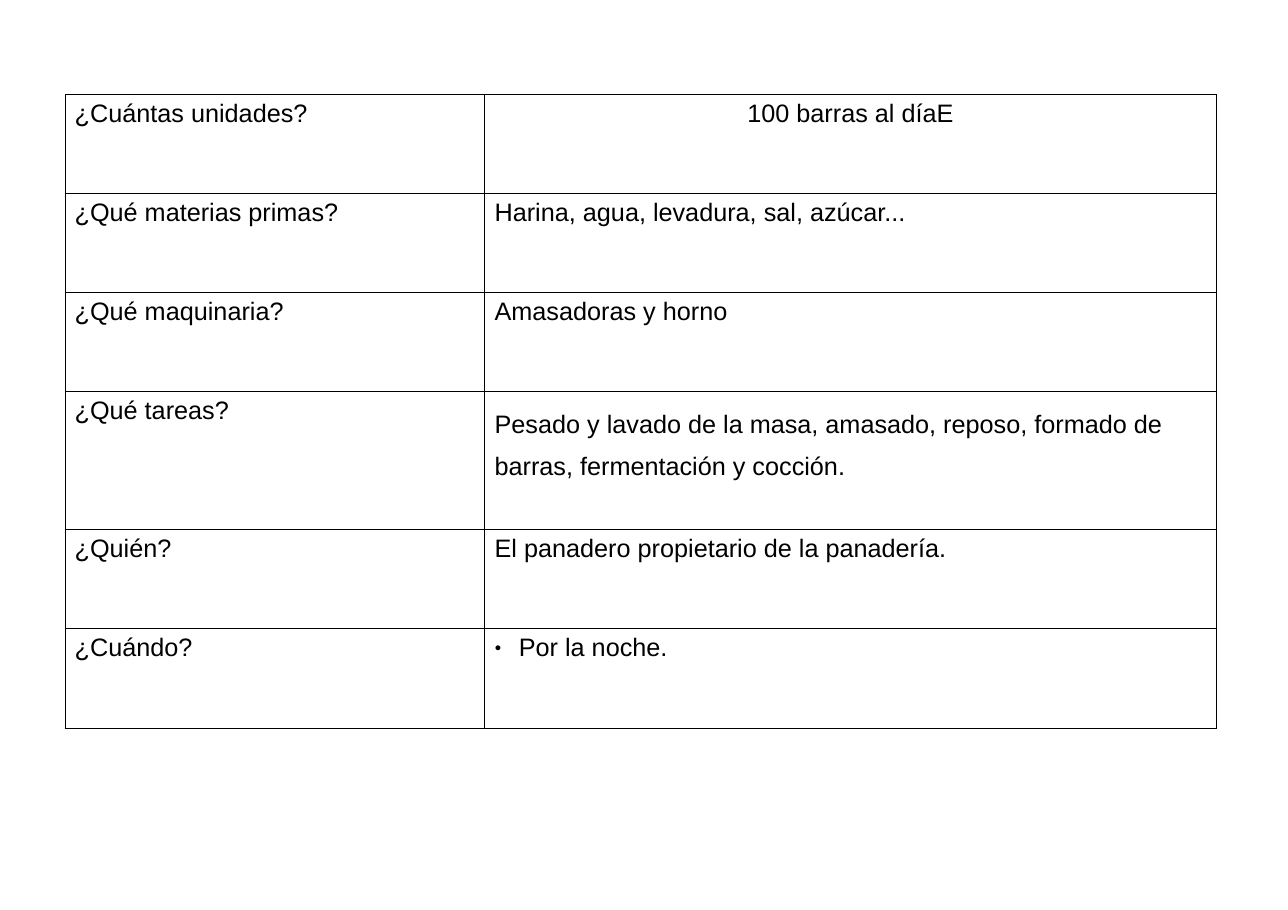
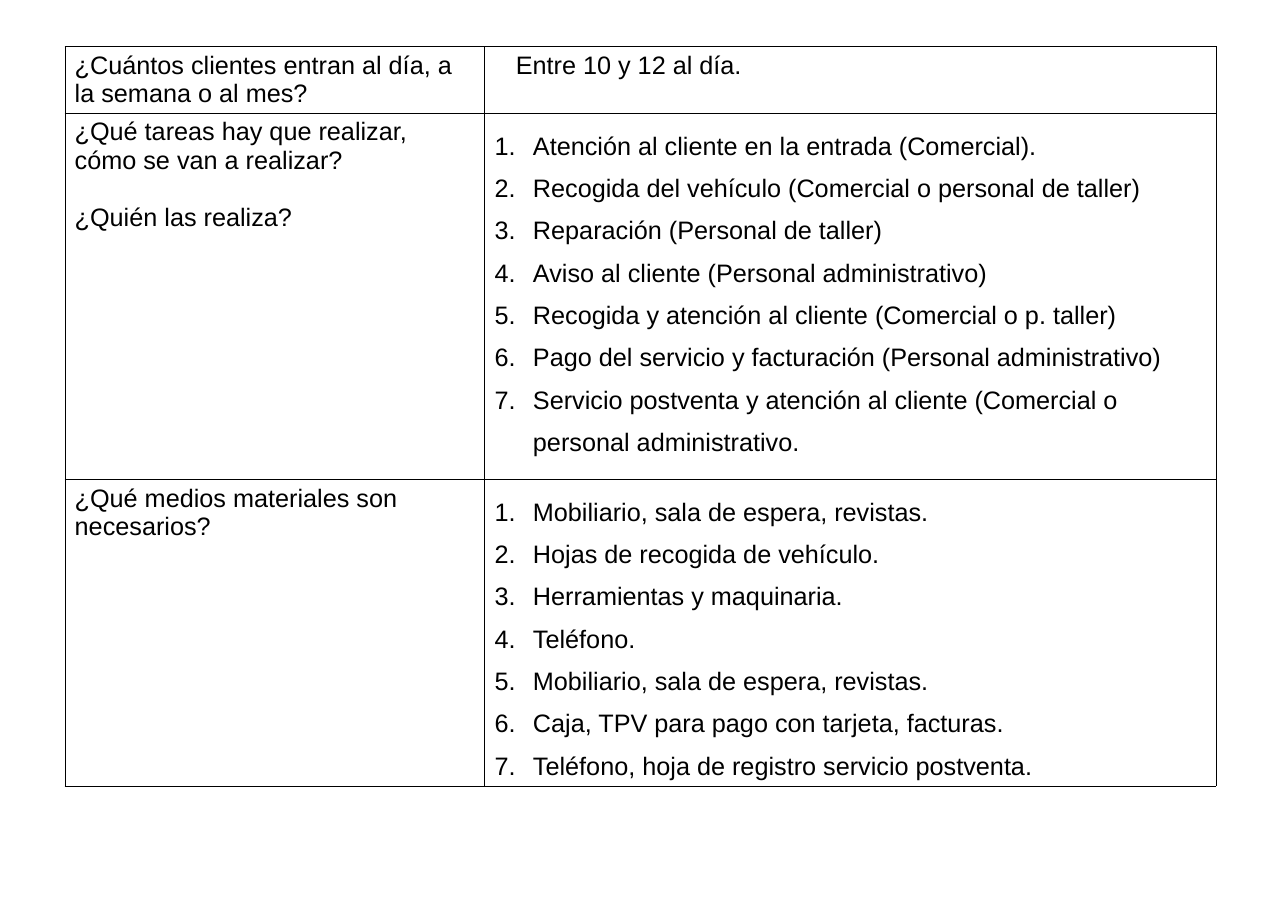
from pptx import Presentation
from pptx.dml.color import RGBColor
from pptx.enum.text import PP_ALIGN as Align
from pptx.oxml.xmlchemy import OxmlElement as Element
from pptx.util import Inches, Pt

BLACK = RGBColor(0, 0, 0)
WHITE = RGBColor(255, 255, 255)
HAIRLINE, THIN = Pt(0.06), Pt(0.85)


def add_child(parent, tag, **attrs):
    """Append an XML element with the given attributes."""
    child = Element(tag)
    for name, value in attrs.items():
        child.set(name, str(value))
    parent.append(child)
    return child


def write(p, text, align=None, spacing=None, before=None, left=0, hanging=0,
          bullet=None, number=None):
    """Fill one paragraph; left and hanging are in inches."""
    if align is not None:
        p.alignment = align
    if spacing:
        p.line_spacing = spacing
    if before:
        p.space_before = Pt(before)
    r = p.add_run()
    r.text = text
    r.font.name, r.font.size, r.font.bold = "Arial", Pt(18), False
    r.font.color.rgb = BLACK

    # Indents and bullets
    pPr = p._p.get_or_add_pPr()
    if left:
        pPr.set("marL", str(Inches(left)))
        pPr.set("indent", str(-Inches(hanging)))
    if bullet or number:
        color = add_child(pPr, "a:buClr")
        add_child(color, "a:srgbClr", val=BLACK)
    if bullet:
        add_child(pPr, "a:buSzPct", val=45000)
        add_child(pPr, "a:buFont", typeface="Arial")
        add_child(pPr, "a:buChar", char=bullet)
    elif number:
        add_child(pPr, "a:buFont", typeface="Arial")
        add_child(pPr, "a:buAutoNum", type=number)


def numbered(*items):
    """Describe a widely spaced numbered list."""
    return [(item, dict(left=0.38, hanging=0.38, spacing=1.5,
                        number="arabicPeriod")) for item in items]


class Deck:
    LEFT = 0.64
    COLUMNS = (4.16, 7.25)

    def __init__(self):
        self.prs = Presentation()
        self.prs.slide_width, self.prs.slide_height = Inches(12.76), Inches(9.02)
        self.s = None

    def slide(self):
        self.s = self.prs.slides.add_slide(self.prs.slide_layouts[6])

    def cell(self, cell, content, rule):
        """Content is a text or a list of (text, format) paragraphs."""
        paragraphs = [(content, {})] if isinstance(content, str) else content
        tf = cell.text_frame
        for i, (text, style) in enumerate(paragraphs):
            write(tf.add_paragraph() if i else tf.paragraphs[0], text, **style)

        # Borders go before the fill
        tcPr = cell._tc.get_or_add_tcPr()
        for side, width in zip("LRTB", (HAIRLINE, HAIRLINE, rule, rule)):
            line = add_child(tcPr, f"a:ln{side}", w=int(width))
            add_child(add_child(line, "a:solidFill"), "a:srgbClr", val=BLACK)
        cell.fill.solid()
        cell.fill.fore_color.rgb = WHITE

    def table(self, top, heights, rows, rule):
        table = self.s.shapes.add_table(
            len(rows), len(self.COLUMNS), Inches(self.LEFT), Inches(top),
            Inches(sum(self.COLUMNS)), Inches(sum(heights))).table
        table.first_row = table.horz_banding = False
        for column, width in zip(table.columns, self.COLUMNS):
            column.width = Inches(width)
        for row, height, contents in zip(table.rows, heights, rows):
            row.height = Inches(height)
            for cell, content in zip(row.cells, contents):
                self.cell(cell, content, rule)


def main():
    deck = Deck()

    # Production plan of the bakery
    deck.slide()
    deck.table(0.94, (0.98, 0.98, 0.98, 1.37, 0.98, 0.99), [
        ("¿Cuántas unidades?",
         [("100 barras al díaE", dict(align=Align.CENTER))]),
        ("¿Qué materias primas?", "Harina, agua, levadura, sal, azúcar..."),
        ("¿Qué maquinaria?", "Amasadoras y horno"),
        ("¿Qué tareas?",
         [("Pesado y lavado de la masa, amasado, reposo, formado de barras, "
           "fermentación y cocción.", dict(spacing=1.5))]),
        ("¿Quién?", "El panadero propietario de la panadería."),
        ("¿Cuándo?",
         [("Por la noche.", dict(left=0.24, hanging=0.24, bullet="●"))]),
    ], THIN)

    # Service plan of the repair shop
    deck.slide()
    deck.table(0.46, (0.66, 3.63, 3.04), [
        ("¿Cuántos clientes entran al día, a la semana o al mes?",
         [("Entre 10 y 12 al día.", dict(left=0.21))]),
        ([("¿Qué tareas hay que realizar, cómo se van a realizar?", {}),
          ("¿Quién las realiza?", dict(before=20.5))],
         numbered(
             "Atención al cliente en la entrada (Comercial).",
             "Recogida del vehículo (Comercial o personal de taller)",
             "Reparación (Personal de taller)",
             "Aviso al cliente (Personal administrativo)",
             "Recogida y atención al cliente (Comercial o p. taller)",
             "Pago del servicio y facturación (Personal administrativo)",
             "Servicio postventa y atención al cliente (Comercial o personal "
             "administrativo.")),
        ("¿Qué medios materiales son necesarios?",
         numbered(
             "Mobiliario, sala de espera, revistas.",
             "Hojas de recogida de vehículo.",
             "Herramientas y maquinaria.",
             "Teléfono.",
             "Mobiliario, sala de espera, revistas.",
             "Caja, TPV para pago con tarjeta, facturas.",
             "Teléfono, hoja de registro servicio postventa.")),
    ], HAIRLINE)

    deck.prs.save("out.pptx")


if __name__ == "__main__":
    main()
